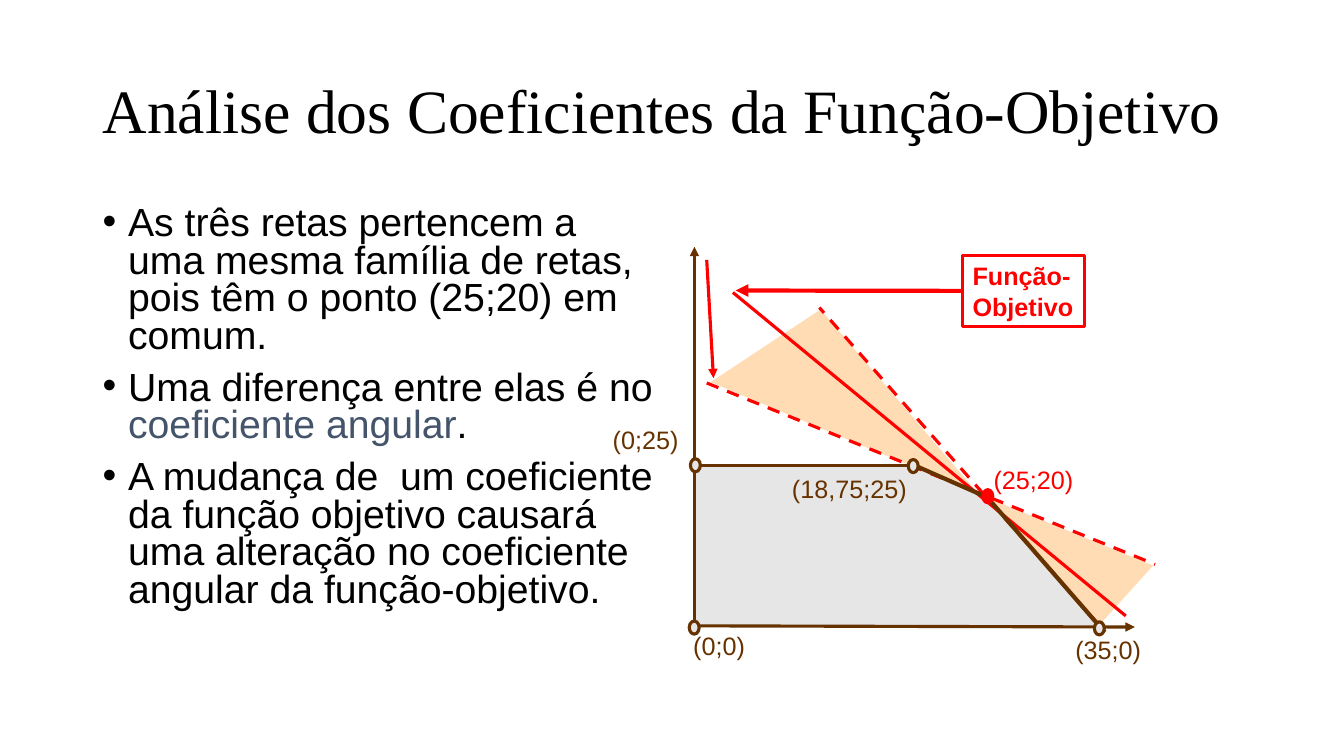
from dataclasses import dataclass

from lxml import etree
from pptx import Presentation
from pptx import util as u
from pptx.dml.color import RGBColor
from pptx.enum import dml, shapes, text
from pptx.oxml import ns


@dataclass(frozen=True)
class Theme:
    black: str = "000000"
    slate: str = "44546A"
    brown: str = "663300"
    red: str = "FF0000"
    grey: str = "E7E6E6"
    peach: str = "FFDCB4"
    title_size: int = 44
    body_size: int = 28
    label_size: int = 18
    title_font: str = "Times New Roman"
    body_font: str = "Arial"


theme = Theme()


def write(frame, paragraphs, size=theme.label_size, font=theme.body_font,
          color=theme.black, bold=False, anchor=text.MSO_ANCHOR.MIDDLE,
          wrap=False, spacing=1.0, before=0, bullet=False):
    frame.word_wrap = wrap
    frame.auto_size = text.MSO_AUTO_SIZE.NONE if wrap else text.MSO_AUTO_SIZE.SHAPE_TO_FIT_TEXT
    frame.vertical_anchor = anchor
    for index, runs in enumerate(paragraphs):
        paragraph = frame.add_paragraph() if index else frame.paragraphs[0]
        paragraph.alignment = text.PP_ALIGN.LEFT
        paragraph.line_spacing = spacing
        paragraph.space_before = u.Pt(before if index else 0)
        if bullet:
            properties = paragraph._p.get_or_add_pPr()
            properties.set("marL", str(u.Cm(0.64)))
            properties.set("indent", str(u.Cm(-0.64)))
            etree.SubElement(properties, ns.qn("a:buFont")).set("typeface", font)
            etree.SubElement(properties, ns.qn("a:buChar")).set("char", "•")
        for words, run_color in runs:
            run = paragraph.add_run()
            run.text = words
            run.font.size = u.Pt(size)
            run.font.name = font
            run.font.bold = bold
            run.font.color.rgb = RGBColor.from_string(run_color or color)


def draw_line(start, end, color, width=2.25, dashed=False, arrow=False):
    line = slide.shapes.add_connector(
        shapes.MSO_CONNECTOR.STRAIGHT, *[u.Cm(value) for value in start + end])
    line.line.color.rgb = RGBColor.from_string(color)
    line.line.width = u.Pt(width)
    if dashed:
        line.line.dash_style = dml.MSO_LINE.DASH
    if arrow:
        etree.SubElement(line.line._get_or_add_ln(), ns.qn("a:tailEnd")).set("type", "triangle")
    etree.SubElement(line._element.spPr, ns.qn("a:effectLst"))
    return line


deck = Presentation()
deck.slide_width = u.Cm(33.87)
deck.slide_height = u.Cm(19.05)
slide = deck.slides.add_slide(deck.slide_layouts[6])

title = slide.shapes.add_textbox(u.Cm(2.34), u.Cm(1.02), u.Cm(29.21), u.Cm(3.68))
write(title.text_frame, [[("Análise dos Coeficientes da Função-Objetivo", None)]],
      size=theme.title_size, font=theme.title_font, wrap=True, spacing=0.9)

explanation = slide.shapes.add_textbox(u.Cm(2.34), u.Cm(5.08), u.Cm(14.4), u.Cm(12.09))
write(explanation.text_frame, [
    [("As três retas pertencem a uma mesma família de retas, "
      "pois têm o ponto (25;20) em comum.", None)],
    [("Uma diferença entre elas é no ", None), ("coeficiente angular", theme.slate), (".", None)],
    [("A mudança de  um coeficiente da função objetivo causará "
      "uma alteração no coeficiente angular da função-objetivo.", None)],
], size=theme.body_size, anchor=text.MSO_ANCHOR.TOP, wrap=True,
    spacing=0.8, before=10, bullet=True)

regions = [
    (theme.grey, [(17.53, 11.76), (22.94, 11.76), (24.89, 12.55), (27.66, 15.75), (17.53, 15.8)]),
    (theme.peach, [(27.69, 15.77), (25.02, 12.6), (29.06, 14.25)]),
    (theme.peach, [(17.91, 9.63), (24.66, 12.45), (20.68, 7.8)]),
]
for fill, corners in regions:
    (first_x, first_y), *others = [(u.Cm(x), u.Cm(y)) for x, y in corners]
    outline = slide.shapes.build_freeform(first_x, first_y)
    outline.add_line_segments(others, close=True)
    region = outline.convert_to_shape()
    region.shadow.inherit = False
    region.fill.solid()
    region.fill.fore_color.rgb = RGBColor.from_string(fill)
    region.line.fill.background()

draw_line((17.5, 15.82), (17.5, 6.22), theme.brown, arrow=True)
draw_line((17.45, 15.77), (28.6, 15.8), theme.brown, arrow=True)
draw_line((17.53, 11.73), (22.96, 11.73), theme.brown)

callout = slide.shapes.add_shape(
    shapes.MSO_SHAPE.RECTANGLE, u.Cm(24.26), u.Cm(6.43), u.Cm(3.07), u.Cm(1.8))
callout.shadow.inherit = False
callout.fill.background()
callout.line.color.rgb = RGBColor.from_string(theme.red)
callout.line.width = u.Pt(2.25)
write(callout.text_frame, [[("Função-", None)], [("Objetivo", None)]],
      color=theme.red, bold=True)

draw_line((27.71, 15.77), (20.65, 7.75), theme.red, dashed=True)
pointer = draw_line((24.26, 7.33), (18.54, 7.32), theme.red, width=3, arrow=True)
pointer.begin_connect(callout, 1)
draw_line((18.47, 7.37), (28.37, 15.52), theme.red)
draw_line((17.81, 9.65), (29.11, 14.22), theme.red, dashed=True)
draw_line((17.81, 6.55), (17.98, 9.53), theme.red, arrow=True)
draw_line((22.94, 11.68), (24.92, 12.55), theme.brown, width=3)
draw_line((24.87, 12.52), (27.84, 15.93), theme.brown, width=3)

vertices = [
    (17.4, 11.56, theme.grey, theme.brown),
    (17.37, 15.65, theme.grey, theme.brown),
    (27.58, 15.67, theme.grey, theme.brown),
    (22.89, 11.58, theme.grey, theme.brown),
    (24.77, 12.34, theme.red, theme.red),
]
for left, top, fill, border in vertices:
    vertex = slide.shapes.add_shape(
        shapes.MSO_SHAPE.OVAL, u.Cm(left), u.Cm(top), u.Cm(0.25), u.Cm(0.33))
    vertex.shadow.inherit = False
    vertex.fill.solid()
    vertex.fill.fore_color.rgb = RGBColor.from_string(fill)
    vertex.line.color.rgb = RGBColor.from_string(border)
    vertex.line.width = u.Pt(2.25)

coordinates = [
    ("(0;0)", 17.22, 15.75, 1.83, theme.brown),
    ("(35;0)", 26.85, 15.85, 2.18, theme.brown),
    ("(25;20)", 24.79, 11.58, 2.54, theme.red),
    ("(0;25)", 15.19, 10.57, 2.18, theme.brown),
    ("(18,75;25)", 19.71, 11.79, 3.43, theme.brown),
]
for words, left, top, width, color in coordinates:
    coordinate = slide.shapes.add_textbox(u.Cm(left), u.Cm(top), u.Cm(width), u.Cm(1.02))
    write(coordinate.text_frame, [[(words, None)]], color=color)

deck.save("out.pptx")
